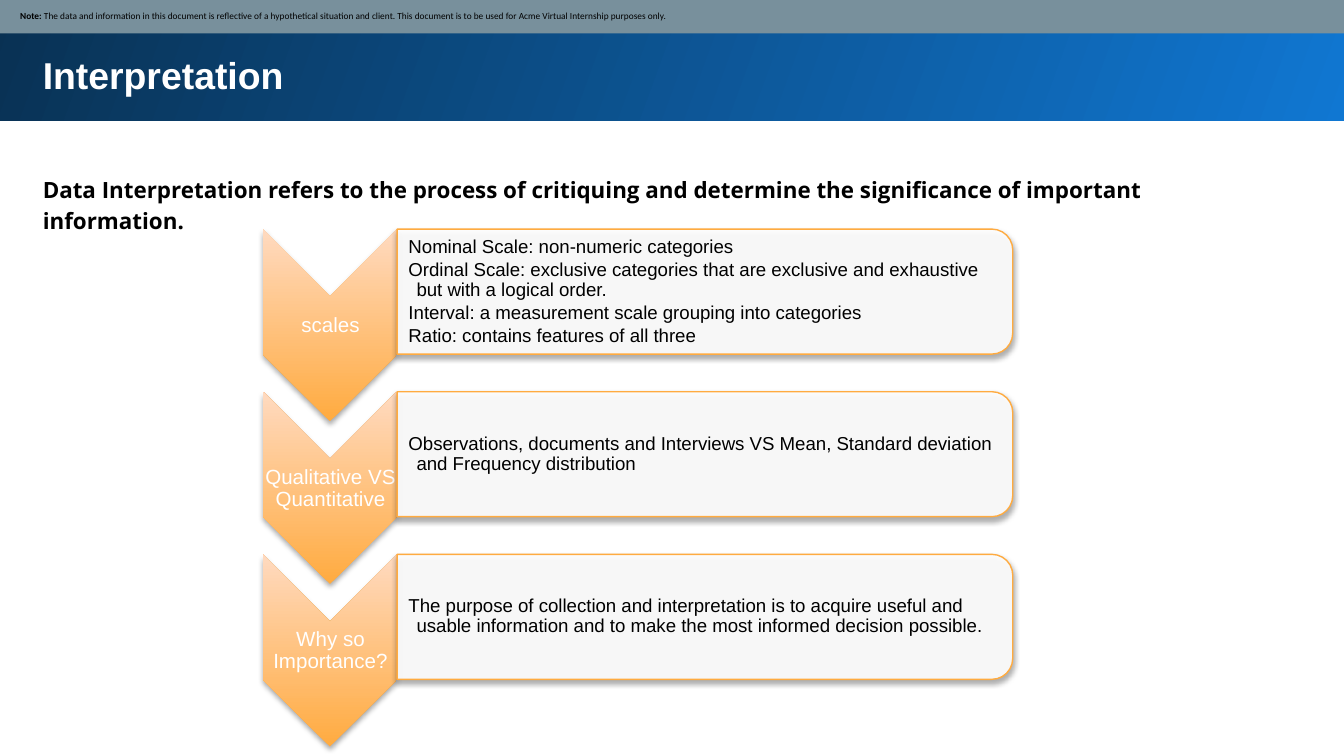
from dataclasses import dataclass

from lxml.etree import SubElement
from pptx import Presentation
from pptx.dml.color import RGBColor
from pptx.enum.shapes import MSO_SHAPE
from pptx.enum.text import MSO_ANCHOR, MSO_AUTO_SIZE, PP_ALIGN
from pptx.oxml.ns import qn
from pptx.util import Inches, Pt

COLORS = {
    "black": "000000",
    "white": "FFFFFF",
    "bright_blue": "1077D2",
    "navy": "093153",
    "slate": "78909C",
    "orange": "FFAB40",
    "peach": "FFDAC0",
}


@dataclass
class Step:
    label: str
    details: list[str]


STEPS = [
    Step("scales", [
        "Nominal Scale: non-numeric categories",
        "Ordinal Scale: exclusive categories that are exclusive and exhaustive "
        "but with a logical order.",
        "Interval: a measurement scale grouping into categories",
        "Ratio: contains features of all three",
    ]),
    Step("Qualitative VS Quantitative", [
        "Observations, documents and Interviews VS Mean, Standard deviation "
        "and Frequency distribution",
    ]),
    Step("Why so Importance?", [
        "The purpose of collection and interpretation is to acquire useful and "
        "usable information and to make the most informed decision possible.",
    ]),
]
SLIDE_WIDTH = 10
STEP_PITCH = 1.21


def color(name: str) -> RGBColor:
    return RGBColor.from_string(COLORS[name])


def style_font(font, name: str, size: float, color_name: str, bold: bool = False) -> None:
    font.name = name
    font.size = Pt(size)
    font.bold = bold
    font.color.rgb = color(color_name)


def set_frame(frame, insets: tuple, anchor=MSO_ANCHOR.TOP) -> None:
    frame.word_wrap = True
    frame.vertical_anchor = anchor
    (frame.margin_left, frame.margin_top,
     frame.margin_right, frame.margin_bottom) = map(Inches, insets)


def add_shape(shapes, kind, left: float, top: float, width: float, height: float,
              rotation: float = 0):
    shape = shapes.add_shape(kind, *map(Inches, (left, top, width, height)))
    shape.rotation = rotation
    shape.shadow.inherit = False
    shape.line.fill.background()
    return shape


def fill_gradient(shape, names: tuple, angle: float) -> None:
    shape.fill.gradient()
    shape.fill.gradient_angle = angle
    for stop, name in zip(shape.fill.gradient_stops, names):
        stop.color.rgb = color(name)
    shape._element.spPr.find(qn("a:gradFill")).set("rotWithShape", "0")


def add_alpha(color_element, percent: int) -> None:
    SubElement(color_element, qn("a:alpha"), val=str(percent * 1000))


def add_shadow(shape) -> None:
    effects = shape._element.spPr.find(qn("a:effectLst"))
    shadow = SubElement(effects, qn("a:outerShdw"), blurRad=str(Pt(3)), dist=str(Pt(1.8)),
                        dir="5400000", rotWithShape="0")
    add_alpha(SubElement(shadow, qn("a:srgbClr"), val=COLORS["black"]), 35)


def add_text(shapes, left: float, top: float, width: float, height: float,
             lines: list[str], insets: tuple, anchor=MSO_ANCHOR.TOP):
    box = shapes.add_textbox(*map(Inches, (left, top, width, height)))
    set_frame(box.text_frame, insets, anchor)
    box.text_frame.text = "\n".join(lines)
    return box.text_frame


def add_heading(shapes, top: float, height: float, text: str, font_name: str,
                size: float, color_name: str, spacing: float) -> None:
    frame = add_text(shapes, 0.22, top, 9.37, height, [text], (0.1,) * 4)
    frame.auto_size = MSO_AUTO_SIZE.SHAPE_TO_FIT_TEXT
    paragraph = frame.paragraphs[0]
    paragraph.line_spacing = spacing
    style_font(paragraph.font, font_name, size, color_name, True)


def add_note(shapes) -> None:
    strip = add_shape(shapes, MSO_SHAPE.RECTANGLE, -0.01, -0.01, 10.03, 0.26)
    strip.fill.solid()
    strip.fill.fore_color.rgb = color("slate")
    set_frame(strip.text_frame, (0.16, 0.05, 0.05, 0.05), MSO_ANCHOR.MIDDLE)
    paragraph = strip.text_frame.paragraphs[0]
    paragraph.alignment = PP_ALIGN.LEFT
    for text, bold in (
        ("Note: ", True),
        ("The data and information in this document is reflective of a hypothetical "
         "situation and client. This document is to be used for Acme Virtual "
         "Internship purposes only.", False),
    ):
        run = paragraph.add_run()
        run.text = text
        style_font(run.font, "Calibri", 5, "black", bold)


def add_step(shapes, step: Step, offset: float) -> None:
    chevron = add_shape(shapes, MSO_SHAPE.CHEVRON, 1.74, 1.92 + offset, 1.43, 1, 90)
    fill_gradient(chevron, ("orange", "peach"), 90)
    add_shadow(chevron)

    label = add_text(shapes, 1.96, 2.21 + offset, 1, 0.43, [step.label],
                     (0.01,) * 4, MSO_ANCHOR.MIDDLE).paragraphs[0]
    label.alignment = PP_ALIGN.CENTER
    label.line_spacing = 0.9
    label.space_after = Pt(3.85)
    style_font(label.font, "Arial", 11, "white")

    panel = add_shape(shapes, MSO_SHAPE.ROUND_2_SAME_RECTANGLE,
                      4.78, -0.12 + offset, 0.93, 4.58, 90)
    panel.fill.solid()
    panel.fill.fore_color.rgb = color("white")
    add_alpha(panel._element.spPr.find(qn("a:solidFill"))[0], 90)
    panel.line.color.rgb = color("orange")
    panel.line.width = Pt(0.75)
    add_shadow(panel)

    details = add_text(shapes, 2.96, 1.75 + offset, 4.53, 0.84, step.details,
                       (0.08, 0.01, 0.01, 0.01), MSO_ANCHOR.MIDDLE)
    for paragraph in details.paragraphs:
        paragraph.level = 1
        paragraph.line_spacing = 0.9
        paragraph.space_after = Pt(1.5)
        style_font(paragraph.font, "Arial", 10, "black")
        properties = paragraph._p.get_or_add_pPr()
        properties.set("marL", str(Inches(0.06)))
        properties.set("indent", str(Inches(-0.06)))


presentation = Presentation()
presentation.slide_width = Inches(SLIDE_WIDTH)
presentation.slide_height = Inches(SLIDE_WIDTH * 9 / 16)
slide = presentation.slides.add_slide(presentation.slide_layouts[6])

banner = add_shape(slide.shapes, MSO_SHAPE.RECTANGLE, -0.02, -0.02, 10.05, 0.92)
fill_gradient(banner, ("bright_blue", "navy"), 160)
add_heading(slide.shapes, 0.29, 0.83, "Interpretation", "Arial", 20, "white", 1)
add_heading(slide.shapes, 1.18, 0.41,
            "Data Interpretation refers to the process of critiquing and determine "
            "the significance of important information.", "Open Sans", 12, "black", 1.15)
add_note(slide.shapes)

steps_group = slide.shapes.add_group_shape()
for index, step in enumerate(STEPS):
    add_step(steps_group.shapes, step, index * STEP_PITCH)

presentation.save("out.pptx")
